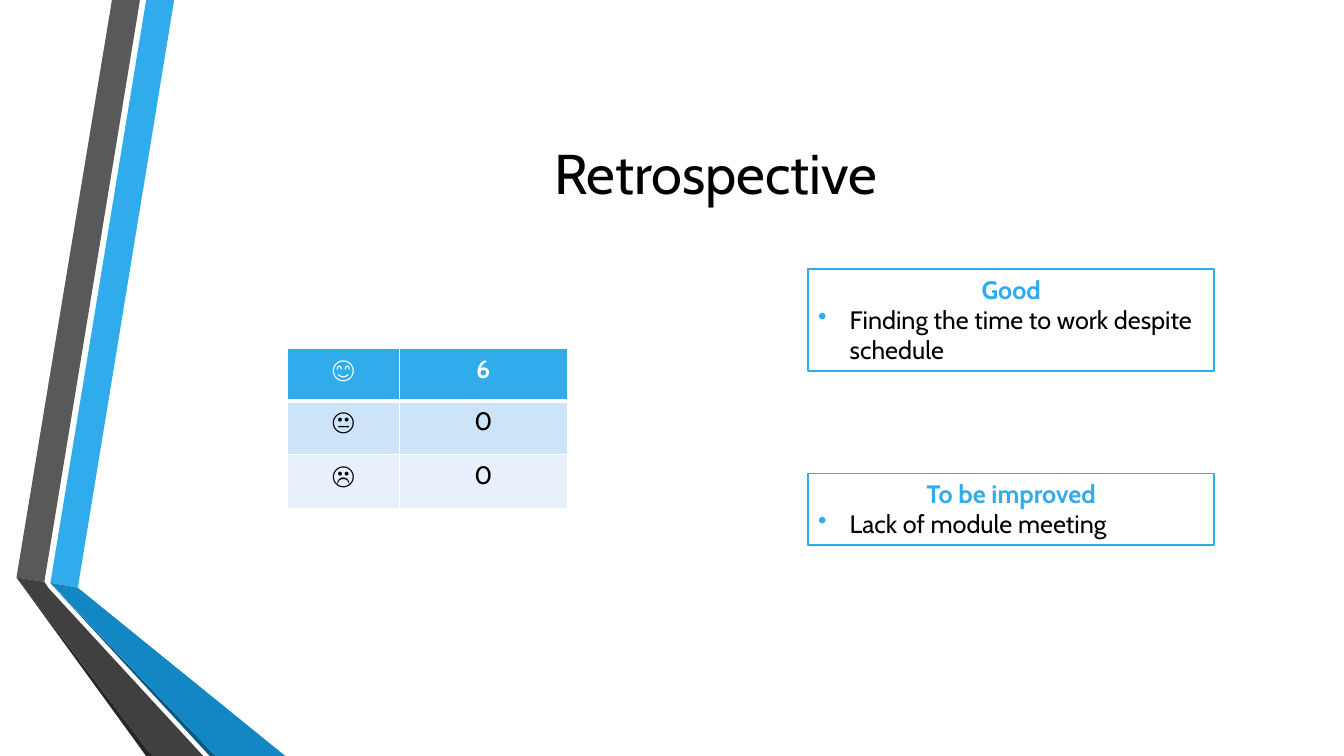
import pptx
import pptx.util
import pptx.dml.color
import pptx.enum.shapes
import pptx.enum.text
import pptx.oxml.ns
from lxml import etree

Pt = pptx.util.Pt
ALIGN = pptx.enum.text.PP_ALIGN
ANCHOR = pptx.enum.text.MSO_ANCHOR

THEME = {
    "font": "Cabin", "title_size": 40, "body_size": 18,
    "text": "000000", "paper": "FFFFFF", "accent": "30ACEC",
    "row_fills": ("30ACEC", "CDE3F8", "E8F1FB"),
    "blue": "30ACEC", "blue_fold": "1287C3", "blue_edge": "0C5A82",
    "grey": "595959", "grey_fold": "404040", "grey_edge": "262626",
}

TITLE = "Retrospective"
MOODS = [("\U0001F60A", "6"), ("\U0001F610", "0"), ("\u2639\ufe0f", "0")]
FEEDBACK = [
    ("Good", "Finding the time to work despite schedule", 192.2, 73),
    ("To be improved", "Lack of module meeting", 338.2, 51),
]
RIBBONS = [
    ("blue", [(36, 416.3), (55.6, 419.8), (124.4, 0), (104.4, 0)]),
    ("grey", [(100, 0), (80, 0), (11.8, 412.5), (31.7, 415.6)]),
    ("grey_edge", [(11.8, 412.5), (104.4, 540), (108.7, 540)]),
    ("blue_edge", [(36, 416.6), (149.8, 540), (154, 540)]),
    ("blue_fold", [(36, 416.3), (154, 540), (203.8, 540), (55.6, 419.8)]),
    ("grey_fold", [(145.2, 540), (34.6, 420), (31.7, 415.6),
                   (11.8, 412.5), (108.7, 540)]),
]

TITLE_BOX = (116.6, 54, 789.1, 138.2)
MOOD_ORIGIN = (205.2, 249.1)
MOOD_COLUMNS = (80, 120)
MOOD_ROWS = (37.2, 38.6, 38.6)
FEEDBACK_LEFT, FEEDBACK_WIDTH = 577.4, 289.8
BULLET_INDENT = 22.5


def rgb(name):
    """Return the colour for a hex string."""
    return pptx.dml.color.RGBColor.from_string(name)


def points(values):
    """Convert numbers to point lengths."""
    return [Pt(value) for value in values]


def write(paragraph, text, color, size=THEME["body_size"], bold=False,
          align=ALIGN.CENTER):
    """Fill and style one paragraph."""
    paragraph.text = text
    paragraph.alignment = align
    paragraph.font.name = THEME["font"]
    paragraph.font.size = Pt(size)
    paragraph.font.bold = bold
    paragraph.font.color.rgb = rgb(color)


def add_bullet(paragraph):
    """Give a paragraph an accent bullet with a hanging indent."""
    properties = paragraph._p.get_or_add_pPr()
    properties.set("marL", str(Pt(BULLET_INDENT)))
    properties.set("indent", str(-Pt(BULLET_INDENT)))
    qn = pptx.oxml.ns.qn
    bullet_color = etree.Element(qn("a:buClr"))
    etree.SubElement(bullet_color, qn("a:srgbClr"), val=THEME["accent"])
    bullet = etree.Element(qn("a:buChar"), char="\u2022")
    # Bullet settings come before the default run properties.
    properties.insert(0, bullet_color)
    properties.insert(1, bullet)


def add_borders(cell, bottom):
    """Draw paper-coloured cell borders, with a chosen bottom width."""
    qn = pptx.oxml.ns.qn
    properties = cell._tc.get_or_add_tcPr()
    sides = (("L", 1), ("R", 1), ("T", 1), ("B", bottom))
    for position, (side, width) in enumerate(sides):
        line = etree.Element(qn("a:ln" + side), w=str(Pt(width)))
        fill = etree.SubElement(line, qn("a:solidFill"))
        etree.SubElement(fill, qn("a:srgbClr"), val=THEME["paper"])
        properties.insert(position, line)


def add_ribbon(slide, color, corners):
    """Draw one facet of the folded ribbons."""
    start, *rest = [points(corner) for corner in corners]
    outline = slide.shapes.build_freeform(*start)
    outline.add_line_segments(rest, close=True)
    ribbon = outline.convert_to_shape()
    ribbon.shadow.inherit = False
    ribbon.fill.solid()
    ribbon.fill.fore_color.rgb = rgb(THEME[color])
    ribbon.line.fill.background()


def add_title(slide):
    """Place the slide title."""
    frame = slide.shapes.add_textbox(*points(TITLE_BOX)).text_frame
    frame.word_wrap = True
    frame.vertical_anchor = ANCHOR.MIDDLE
    write(frame.paragraphs[0], TITLE, THEME["text"], THEME["title_size"])


def add_moods(slide):
    """Build the table of mood votes."""
    size = (sum(MOOD_COLUMNS), sum(MOOD_ROWS))
    votes = slide.shapes.add_table(
        len(MOODS), len(MOOD_COLUMNS), *points(MOOD_ORIGIN + size)).table
    for column, width in zip(votes.columns, MOOD_COLUMNS):
        column.width = Pt(width)
    for row, height in zip(votes.rows, MOOD_ROWS):
        row.height = Pt(height)
    for row_index, mood in enumerate(MOODS):
        header = row_index == 0
        for column_index, text in enumerate(mood):
            cell = votes.cell(row_index, column_index)
            cell.fill.solid()
            cell.fill.fore_color.rgb = rgb(THEME["row_fills"][row_index])
            add_borders(cell, 3 if header else 1)
            write(cell.text_frame.paragraphs[0], text,
                  THEME["paper" if header else "text"], bold=header)


def add_feedback(slide, heading, remark, top, height):
    """Draw a framed heading with its bulleted remark."""
    card = slide.shapes.add_shape(
        pptx.enum.shapes.MSO_SHAPE.RECTANGLE,
        *points((FEEDBACK_LEFT, top, FEEDBACK_WIDTH, height)))
    card.shadow.inherit = False
    card.fill.solid()
    card.fill.fore_color.rgb = rgb(THEME["paper"])
    card.line.color.rgb = rgb(THEME["accent"])
    card.line.width = Pt(1.25)
    frame = card.text_frame
    frame.word_wrap = True
    frame.auto_size = pptx.enum.text.MSO_AUTO_SIZE.SHAPE_TO_FIT_TEXT
    frame.vertical_anchor = ANCHOR.TOP
    write(frame.paragraphs[0], heading, THEME["accent"], bold=True)
    remark_line = frame.add_paragraph()
    write(remark_line, remark, THEME["text"], align=ALIGN.LEFT)
    add_bullet(remark_line)


def build():
    """Assemble and save the slide."""
    deck = pptx.Presentation()
    deck.slide_width, deck.slide_height = Pt(960), Pt(540)
    slide = deck.slides.add_slide(deck.slide_layouts[6])
    for color, corners in RIBBONS:
        add_ribbon(slide, color, corners)
    add_title(slide)
    add_moods(slide)
    for entry in FEEDBACK:
        add_feedback(slide, *entry)
    deck.save("out.pptx")


build()
